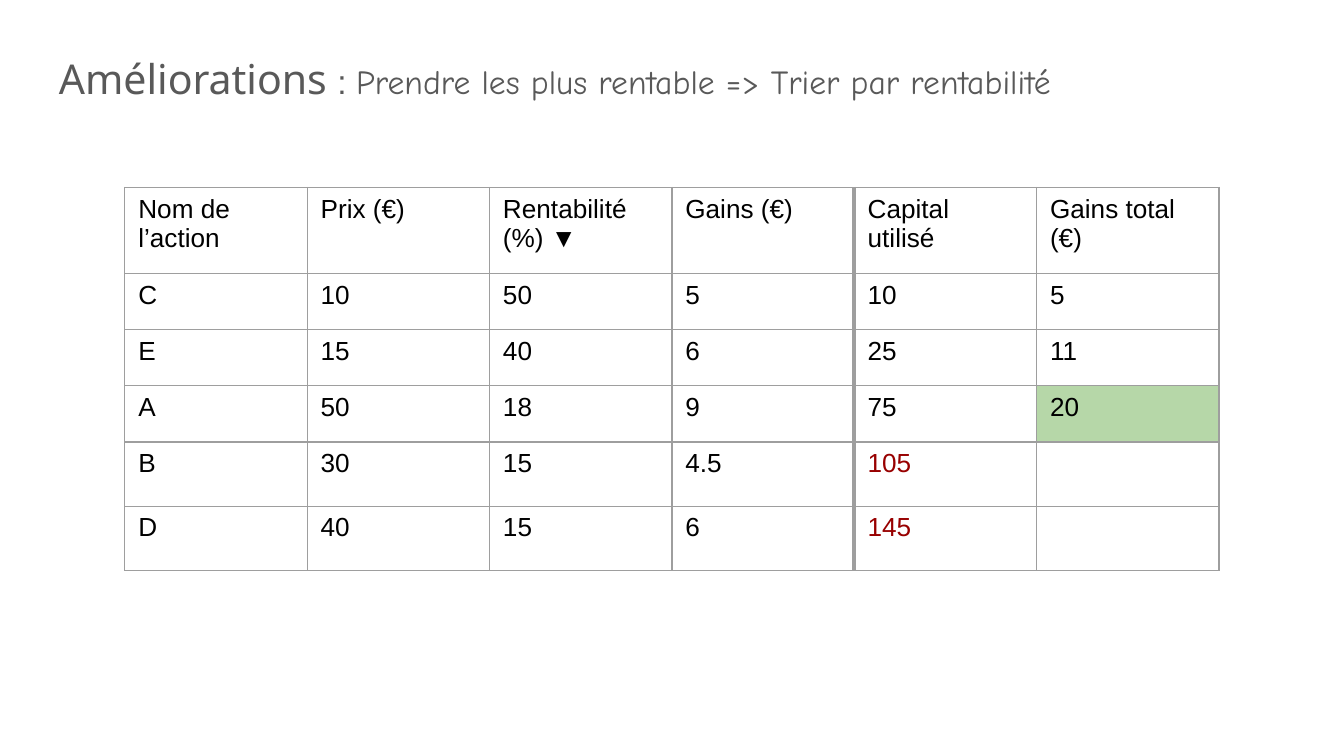
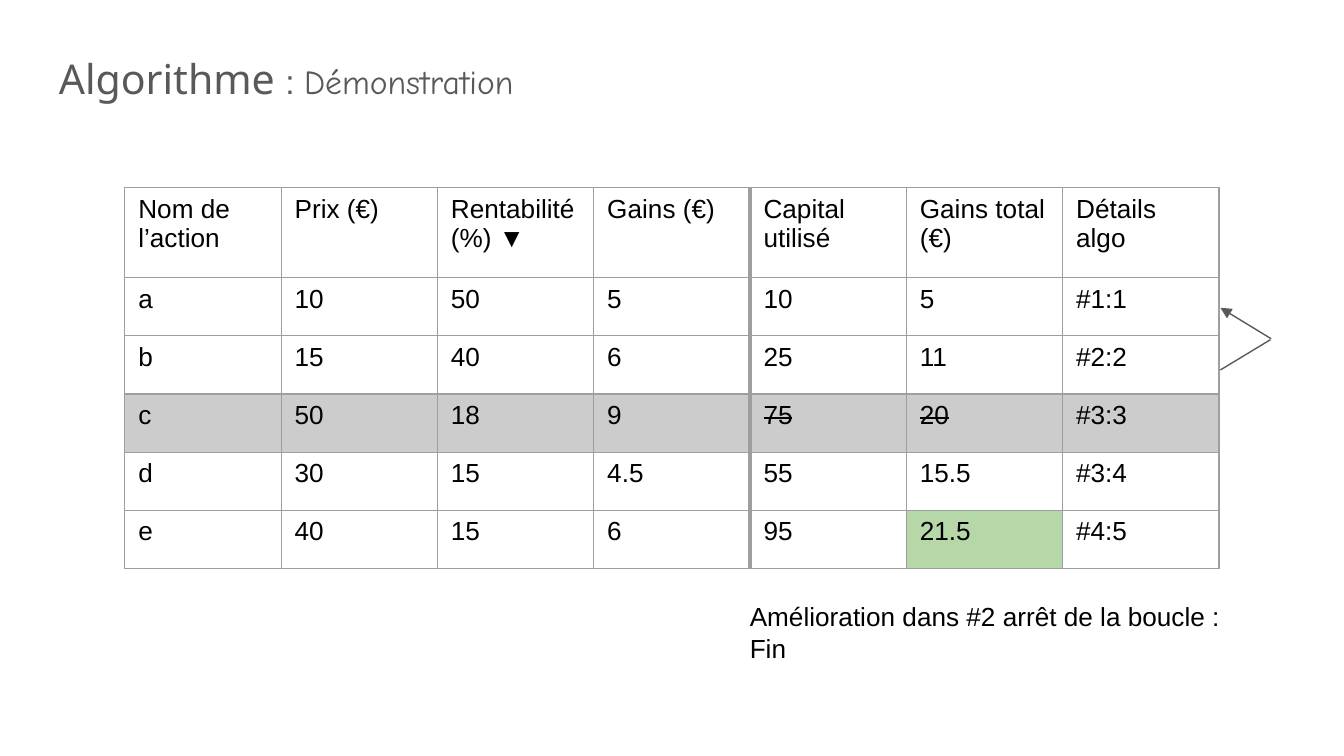
"""Build two slides that compare share picks in sorted tables."""
import pptx
import pptx.util
import pptx.dml.color
import pptx.enum.shapes
import pptx.oxml.ns
from lxml import etree

Pt = pptx.util.Pt
RGB = pptx.dml.color.RGBColor
BLACK = RGB(0, 0, 0)
SLATE = RGB(0x59, 0x59, 0x59)
EDGE = RGB(0x9E, 0x9E, 0x9E)
GREEN = RGB(0xB6, 0xD7, 0xA8)
GREY = RGB(0xCC, 0xCC, 0xCC)
RED = RGB(0x98, 0, 0)
qn = pptx.oxml.ns.qn

HEAD = ["Nom de l’action", "Prix (€)", "Rentabilité (%) ▼", "Gains (€)",
        "Capital utilisé", "Gains total (€)"]
LEFT, TOP, WIDTH = 66.9, 100.5, 586.2
SPLIT = 4

PAGES = [
    {
        "title": ("Améliorations ", "Prendre les plus rentable => Trier par rentabilité"),
        "rows": [
            HEAD,
            ["C", "10", "50", "5", "10", "5"],
            ["E", "15", "40", "6", "25", "11"],
            ["A", "50", "18", "9", "75", "20"],
            ["B", "30", "15", "4.5", "105", ""],
            ["D", "40", "15", "6", "145", ""],
        ],
        "tall": [46.1, 30.1, 30.1, 30.1, 34.4, 34.4],
        "fills": {(3, 5): GREEN},
        "inks": {(4, 4): RED, (5, 4): RED},
        "struck": [],
    },
    {
        "title": ("Algorithme ", "Démonstration"),
        "rows": [
            HEAD + ["Détails algo"],
            ["a", "10", "50", "5", "10", "5", "#1:1"],
            ["b", "15", "40", "6", "25", "11", "#2:2"],
            ["c", "50", "18", "9", "75", "20", "#3:3"],
            ["d", "30", "15", "4.5", "55", "15.5", "#3:4"],
            ["e", "40", "15", "6", "95", "21.5", "#4:5"],
        ],
        "tall": [48.3] + [31.2] * 5,
        "fills": {(5, 5): GREEN, **{(3, col): GREY for col in range(7)}},
        "inks": {},
        "struck": [(3, 4), (3, 5)],
    },
]


def add_edges(cell, col):
    """Draw the four borders of a cell, thick at the split."""
    props = cell._tc.get_or_add_tcPr()
    thick = {"L": col == SPLIT, "R": col == SPLIT - 1}
    for side in "LRTB":
        width = Pt(2.21 if thick.get(side) else 0.75)
        line = etree.SubElement(props, qn("a:ln" + side), w=str(width))
        fill = etree.SubElement(line, qn("a:solidFill"))
        etree.SubElement(fill, qn("a:srgbClr"), val=str(EDGE))


def add_text(slide, left, top, width, height):
    """Add a wrapped text box and return its first paragraph."""
    frame = slide.shapes.add_textbox(Pt(left), Pt(top), Pt(width), Pt(height)).text_frame
    frame.word_wrap = True
    frame.margin_left = frame.margin_right = Pt(7.2)
    frame.margin_top = frame.margin_bottom = Pt(7.2)
    return frame.paragraphs[0]


deck = pptx.Presentation()
deck.slide_width, deck.slide_height = Pt(720), Pt(405)

for page in PAGES:
    slide = deck.slides.add_slide(deck.slide_layouts[6])
    rows = page["rows"]
    count = len(rows[0])
    table = slide.shapes.add_table(len(rows), count, Pt(LEFT), Pt(TOP),
                                   Pt(WIDTH), Pt(sum(page["tall"]))).table
    table.first_row = table.horz_banding = False
    for column in table.columns:
        column.width = Pt(WIDTH / count)
    for row, words in enumerate(rows):
        table.rows[row].height = Pt(page["tall"][row])
        for col, word in enumerate(words):
            spot = (row, col)
            cell = table.cell(row, col)
            cell.margin_left = cell.margin_right = Pt(7.2)
            cell.margin_top = cell.margin_bottom = Pt(3.6)
            add_edges(cell, col)
            if spot in page["fills"]:
                cell.fill.solid()
                cell.fill.fore_color.rgb = page["fills"][spot]
            else:
                cell.fill.background()
            para = cell.text_frame.paragraphs[0]
            para.font.size, para.font.name = Pt(14), "Arial"
            para.font.color.rgb = page["inks"].get(spot, BLACK)
            if word:
                run = para.add_run()
                run.text = word
                if spot in page["struck"]:
                    run._r.get_or_add_rPr().set("strike", "sngStrike")

    para = add_text(slide, 24.5, 17.3, 671, 44.6)
    para.line_spacing, para.space_after = 1.15, Pt(12)
    name, topic = page["title"]
    for word, size, face in [(name, 22, "Noto Sans"), (": ", 18, "Arial"),
                             (topic, 18, "Comic Neue")]:
        run = para.add_run()
        run.text = word
        run.font.size, run.font.name = Pt(size), face
        run.font.color.rgb = SLATE

para = add_text(slide, 394.6, 314.6, 282, 48)
para.text = "Amélioration dans #2 arrêt de la boucle : Fin"
para.font.size, para.font.name = Pt(14), "Arial"
para.font.color.rgb = BLACK

for ends, arrow in [((681, 181.5, 653.8, 164.9), True),
                    ((653.8, 198.2, 680.6, 182), False)]:
    link = slide.shapes.add_connector(pptx.enum.shapes.MSO_CONNECTOR.STRAIGHT,
                                      *[Pt(end) for end in ends])
    link.line.color.rgb, link.line.width = SLATE, Pt(0.75)
    if arrow:
        etree.SubElement(link.line._get_or_add_ln(), qn("a:tailEnd"), type="triangle")
    etree.SubElement(link._element.spPr, qn("a:effectLst"))

deck.save("out.pptx")
